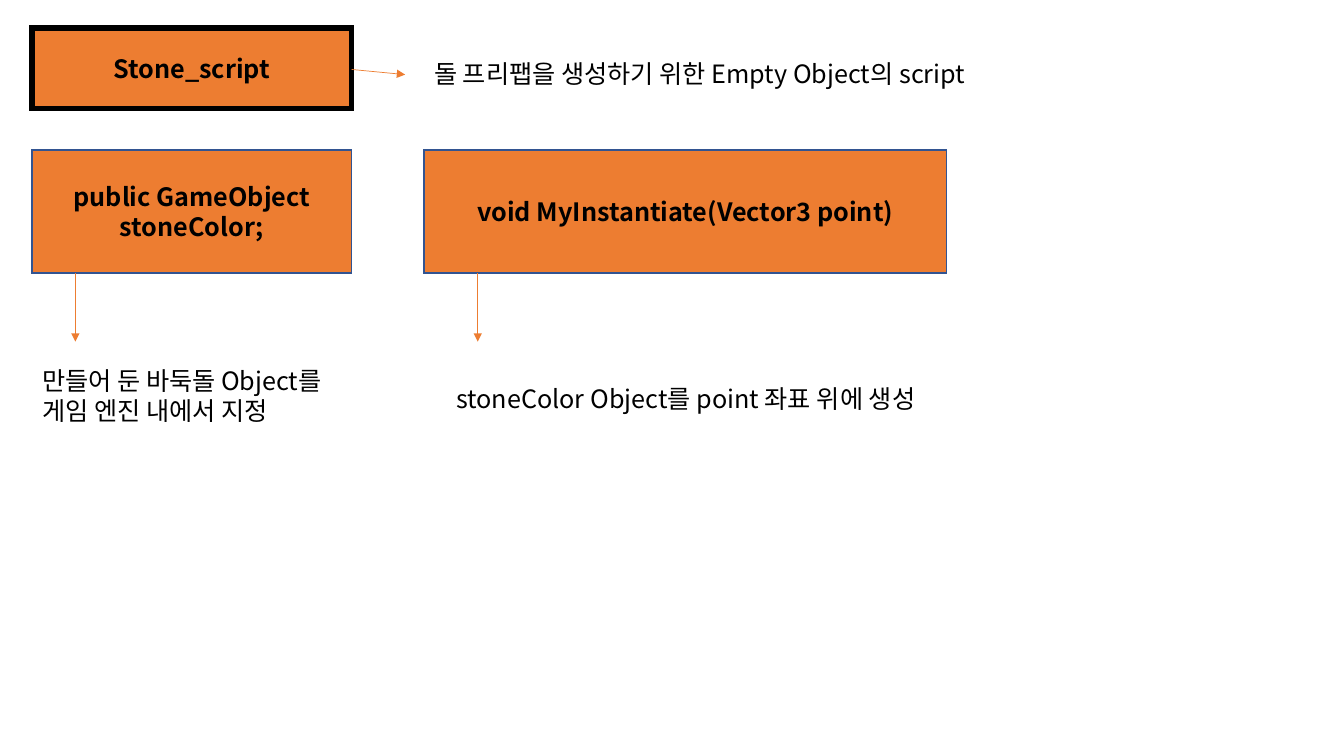
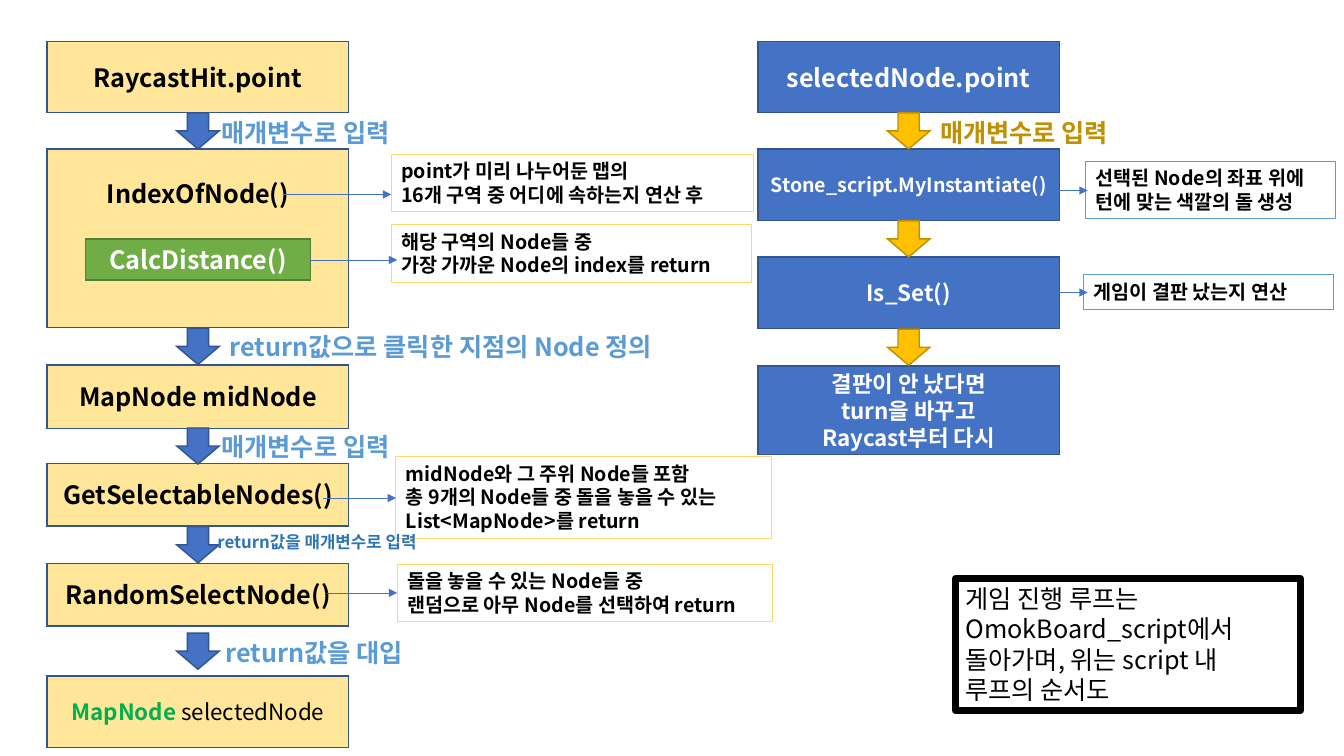
from dataclasses import dataclass

from pptx import Presentation
from pptx.dml.color import RGBColor
from pptx.enum.shapes import MSO_CONNECTOR as CONN, MSO_SHAPE as SHAPE
from pptx.enum.text import MSO_ANCHOR as ANCHOR, MSO_AUTO_SIZE as FIT, PP_ALIGN as ALIGN
from pptx.oxml.ns import qn
from pptx.util import Cm, Pt
from lxml.etree import SubElement


@dataclass(frozen=True)
class Theme:
    font: str = "Noto Sans CJK KR"
    black: str = "000000"
    white: str = "FFFFFF"
    orange: str = "ED7D31"
    cream: str = "FFE699"
    sand: str = "FFD966"
    blue: str = "4472C4"
    navy: str = "325491"
    sky: str = "5B9BD5"
    steel: str = "2E75B6"
    gold: str = "FFC000"
    ochre: str = "BD8E00"
    bronze: str = "BF9000"
    green: str = "70AD47"
    forest: str = "538035"
    emerald: str = "00B050"
    body: int = 18
    step: int = 16
    note: int = 14
    small: int = 12


T = Theme()
TITLE_ONLY, BLANK = 5, 6
COLUMN_W = 7.6
ARROW_W, ARROW_H = 1.07, 0.91


# --- Formatting helpers ---
def rgb(color):
    return RGBColor.from_string(color)


def cm(*lengths):
    return [Cm(v) for v in lengths]


def paint(sp, fill, line, width=1):
    """Fill and outline; filled shapes get sharp corners."""
    sp.line.color.rgb = rgb(line)
    sp.line.width = Pt(width)
    if fill:
        sp.fill.solid()
        sp.fill.fore_color.rgb = rgb(fill)
        SubElement(sp.line._get_or_add_ln(), qn("a:miter"), lim="800000")
    else:
        sp.fill.background()


def add_run(p, text, size, color, bold):
    r = p.add_run()
    r.text = text
    r.font.name, r.font.size, r.font.bold = T.font, Pt(size), bold
    r.font.color.rgb = rgb(color)
    SubElement(r._r.get_or_add_rPr(), qn("a:ea"), typeface=T.font)


def write(sp, lines, size=T.body, color=T.black, bold=False,
          align=ALIGN.LEFT, anchor=ANCHOR.TOP, wrap=True, fit=FIT.NONE):
    """A line is a string, or a list of (text, colour, bold) runs."""
    tf = sp.text_frame
    tf.word_wrap, tf.auto_size, tf.vertical_anchor = wrap, fit, anchor
    for i, line in enumerate(lines):
        p = tf.add_paragraph() if i else tf.paragraphs[0]
        p.alignment = align
        runs = [(line, color, bold)] if isinstance(line, str) else line
        for text, run_color, run_bold in runs:
            add_run(p, text, size, run_color, run_bold)


# --- Elements ---
def add_preset(s, kind, at, fill, line, width=1):
    sp = s.shapes.add_shape(kind, *cm(*at))
    sp.shadow.inherit = False
    paint(sp, fill, line, width)
    return sp


def add_box(s, at, lines, fill, color=T.black, line=T.navy, size=T.body):
    sp = add_preset(s, SHAPE.RECTANGLE, at, fill, line)
    write(sp, lines, size, color, True, ALIGN.CENTER, ANCHOR.MIDDLE)
    return sp


def add_title(s, at, text):
    sp = s.shapes.title
    sp.left, sp.top, sp.width, sp.height = cm(*at)
    paint(sp, T.orange, T.black, 4)
    write(sp, [text], bold=True, align=ALIGN.CENTER, anchor=ANCHOR.MIDDLE)


def add_label(s, at, lines, color=T.black, bold=False, size=T.body, wrap=False):
    sp = s.shapes.add_textbox(*cm(*at))
    write(sp, lines, size, color, bold, wrap=wrap, fit=FIT.SHAPE_TO_FIT_TEXT)


def add_note(s, at, lines, line, width=0.75, size=T.note, bold=True, wrap=True):
    sp = add_preset(s, SHAPE.RECTANGLE, at, None, line, width)
    write(sp, lines, size, bold=bold, wrap=wrap, fit=FIT.SHAPE_TO_FIT_TEXT)


def add_arrow(s, ends, color):
    c = s.shapes.add_connector(CONN.STRAIGHT, *cm(*ends))
    c.line.color.rgb = rgb(color)
    c.line.width = Pt(0.5)
    SubElement(c.line._get_or_add_ln(), qn("a:tailEnd"), type="triangle")
    SubElement(c._element.spPr, qn("a:effectLst"))


def add_flow(s, x, steps, fill, color, arrow_fill, arrow_line):
    """Stack step boxes, with a block arrow centred in each gap."""
    boxes = [add_box(s, (x, y, COLUMN_W, h), lines, fill, color, size=size)
             for y, h, size, lines in steps]
    for (y, h, *_), (next_y, *_) in zip(steps, steps[1:]):
        at = (x + (COLUMN_W - ARROW_W) / 2, (y + h + next_y - ARROW_H) / 2,
              ARROW_W, ARROW_H)
        add_preset(s, SHAPE.DOWN_ARROW, at, arrow_fill, arrow_line)
    return boxes


# --- Slides ---
def build_stone_script(prs):
    s = prs.slides.add_slide(prs.slide_layouts[TITLE_ONLY])
    add_title(s, (0.81, 0.71, 8.05, 2.03), "Stone_script")

    # Members of the script
    for x, w, text in [(0.81, 8.05, "public GameObject stoneColor;"),
                       (10.69, 13.16, "void MyInstantiate(Vector3 point)")]:
        add_box(s, (x, 3.78, w, 3.1), [text], T.orange)

    # Explanations
    for ends in [(1.9, 6.88, 1.9, 8.61), (12.04, 6.88, 12.04, 8.61),
                 (8.86, 1.75, 10.21, 1.88)]:
        add_arrow(s, ends, T.orange)
    add_label(s, (10.69, 1.35, 15.88, 1.02),
              ["돌 프리팹을 생성하기 위한 Empty Object의 script"], wrap=True)
    add_label(s, (0.81, 9.07, 8.46, 1.8),
              ["만들어 둔 바둑돌 Object를", "게임 엔진 내에서 지정"])
    add_label(s, (11.25, 9.53, 12.93, 1.02),
              ["stoneColor Object를 point 좌표 위에 생성"])


def build_game_loop(prs):
    s = prs.slides.add_slide(prs.slide_layouts[BLANK])

    # Node selection, then stone placement: top, height, type size, lines
    selection = [
        (1.04, 1.8, T.body, ["RaycastHit.point"]),
        (3.76, 4.5, T.body, ["IndexOfNode()"]),
        (9.2, 1.6, T.body, ["MapNode midNode"]),
        (11.68, 1.58, T.body, ["GetSelectableNodes()"]),
        (14.2, 1.58, T.body, ["RandomSelectNode()"]),
        (17.04, 1.8, T.step, [[("MapNode ", T.emerald, True),
                               ("selectedNode", T.black, False)]]),
    ]
    placement = [
        (1.04, 1.8, T.body, ["selectedNode.point"]),
        (3.76, 1.8, T.note, ["Stone_script.MyInstantiate()"]),
        (6.48, 1.8, T.step, ["Is_Set()"]),
        (9.22, 2.24, T.step, ["결판이 안 났다면", "turn을 바꾸고", "Raycast부터 다시"]),
    ]
    boxes = add_flow(s, 1.19, selection, T.cream, T.black, T.blue, T.navy)
    add_flow(s, 19.1, placement, T.blue, T.white, T.gold, T.ochre)

    # Nested call inside IndexOfNode()
    index_tf = boxes[1].text_frame
    index_tf.vertical_anchor = ANCHOR.TOP
    index_tf.margin_top = Cm(0.74)
    add_box(s, (2.16, 6.02, 5.66, 1.04), ["CalcDistance()"],
            T.green, T.white, T.forest)

    # Captions beside the block arrows
    for x, y, w, text, color in [
        (5.33, 2.84, 5.23, "매개변수로 입력", T.sky),
        (23.44, 2.82, 5.23, "매개변수로 입력", T.bronze),
        (5.54, 8.23, 12.01, "return값으로 클릭한 지점의 Node 정의", T.sky),
        (5.33, 10.74, 5.23, "매개변수로 입력", T.sky),
        (5.44, 15.93, 5.18, "return값을 대입", T.sky),
    ]:
        add_label(s, (x, y, w, 1.02), [text], color, True)

    # Notes
    for at, line, wrap, lines in [
        ((9.86, 3.89, 9.12, 1.45), T.sand, False,
         ["point가 미리 나누어둔 맵의", "16개 구역 중 어디에 속하는지 연산 후"]),
        ((9.86, 5.66, 9.09, 1.45), T.sand, False,
         ["해당 구역의 Node들 중", "가장 가까운 Node의 index를 return"]),
        ((9.98, 11.51, 9.47, 2.06), T.sand, False,
         ["midNode와 그 주위 Node들 포함", "총 9개의 Node들 중 돌을 놓을 수 있는",
          "List<MapNode>를 return"]),
        ((10.01, 14.22, 9.45, 1.45), T.sand, True,
         ["돌을 놓을 수 있는 Node들 중", "랜덤으로 아무 Node를 선택하여 return"]),
        ((27.36, 4.06, 6.3, 1.45), T.sky, True,
         ["선택된 Node의 좌표 위에", "턴에 맞는 색깔의 돌 생성"]),
        ((27.31, 6.93, 6.3, 0.86), T.sky, True, ["게임이 결판 났는지 연산"]),
    ]:
        add_note(s, at, lines, line, wrap=wrap)
    add_label(s, (5.23, 13.28, 5.92, 0.76), ["return값을 매개변수로 입력"],
              T.steel, True, T.small)

    # Arrows from steps to notes
    for x1, x2, y in [(7.16, 9.86, 4.9), (7.82, 10.01, 6.55),
                      (8.15, 9.98, 12.55), (8.23, 10.01, 14.94),
                      (26.39, 27.41, 4.8), (26.52, 27.41, 7.37)]:
        add_arrow(s, (x1, y, x2, y), T.blue)

    # Summary
    add_note(s, (24.08, 14.58, 8.69, 3.33),
             ["게임 진행 루프는 OmokBoard_script에서 돌아가며, 위는 script 내 루프의 순서도"],
             T.black, 5, T.body, False)


def main():
    prs = Presentation()
    prs.slide_width, prs.slide_height = cm(33.87, 19.05)
    build_stone_script(prs)
    build_game_loop(prs)
    prs.save("out.pptx")


if __name__ == "__main__":
    main()
